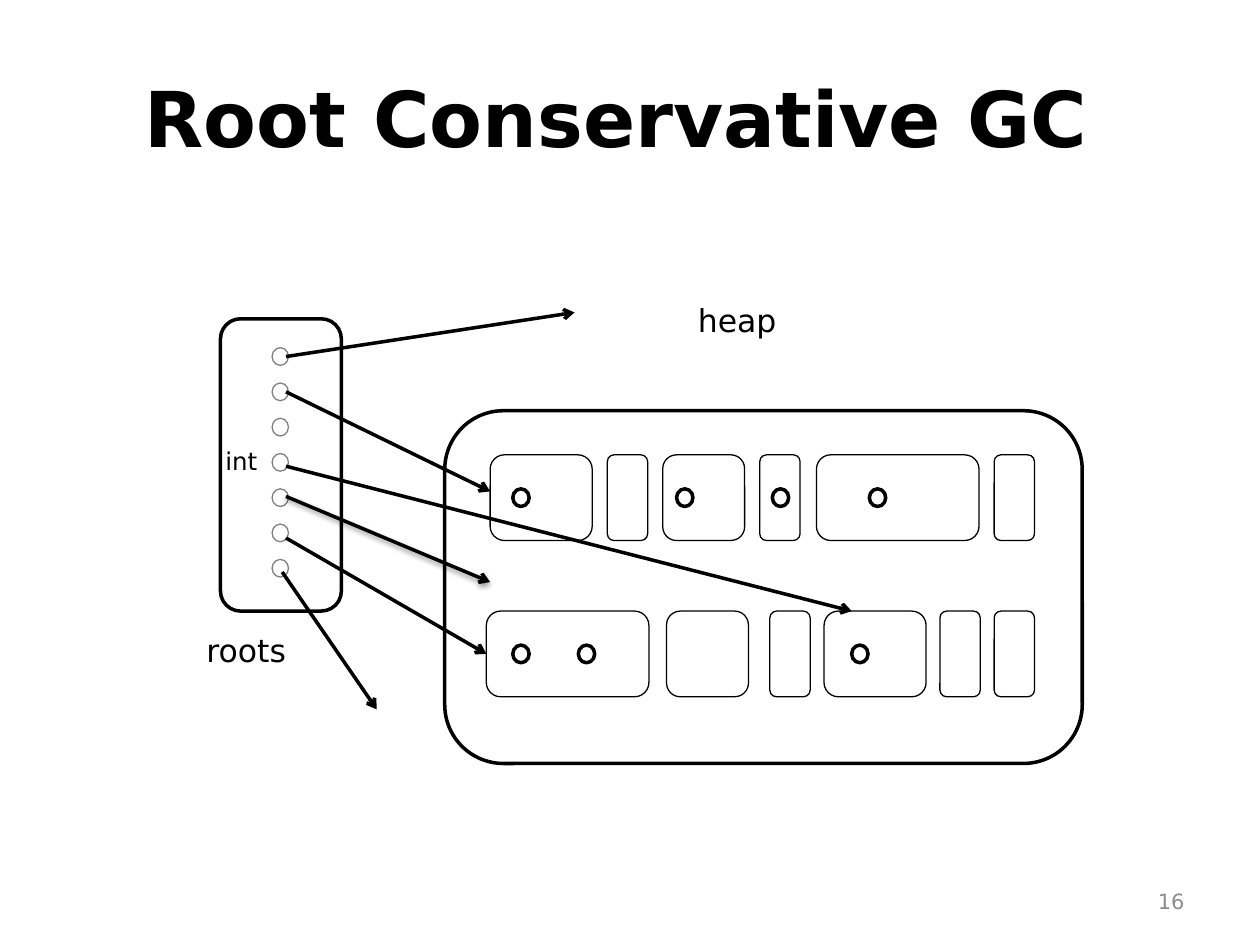
from lxml import etree
from pptx import Presentation
from pptx.dml.color import RGBColor
from pptx.enum import shapes, text
from pptx.oxml import ns
from pptx.util import Inches, Pt

BLACK = RGBColor(0, 0, 0)
WHITE = RGBColor(255, 255, 255)
GRAY = RGBColor(0x80, 0x80, 0x80)
PALE = RGBColor(0x8C, 0x8C, 0x8C)
FONT = "DejaVu Sans"
ROUND = shapes.MSO_SHAPE.ROUNDED_RECTANGLE
OVAL = shapes.MSO_SHAPE.OVAL
LEFT, CENTER, RIGHT = text.PP_ALIGN.LEFT, text.PP_ALIGN.CENTER, text.PP_ALIGN.RIGHT
TOP, MIDDLE = text.MSO_ANCHOR.TOP, text.MSO_ANCHOR.MIDDLE

TITLE = "Root Conservative GC "
HEAP = (3.53, 3.26, 5.06, 2.8)
ROOTS = (1.75, 2.53, 0.96, 2.32)
OBJECT_HEIGHT = 0.68
FIELD_DROP = 0.27
DOT = (0.13, 0.14)
ROOT_COUNT, ROOT_LEFT, ROOT_TOP, ROOT_STEP = 7, 2.16, 2.76, 0.28

# Heap rows: top, objects as (left, width), lefts of the pointer fields
HEAP_ROWS = [
    (3.61,
     [(3.89, 0.81), (4.82, 0.32), (5.26, 0.65), (6.03, 0.32), (6.48, 1.29), (7.89, 0.32)],
     [4.07, 5.37, 6.13, 6.9]),
    (4.85,
     [(3.86, 1.29), (5.29, 0.65), (6.11, 0.32), (6.54, 0.81), (7.46, 0.32), (7.89, 0.32)],
     [4.07, 4.59, 6.76]),
]

# Pointers: start, end, has a shadow
POINTERS = [
    ((2.27, 2.83), (4.56, 2.48), False),
    ((2.24, 4.54), (2.99, 5.63), False),
    ((2.27, 3.11), (3.89, 3.9), False),
    ((2.27, 3.7), (6.76, 4.85), False),
    ((2.27, 4.27), (3.86, 5.19), False),
    ((2.27, 3.94), (3.89, 4.62), True),
]

# Labels: words, place, size, colour, alignment, anchor
LABELS = [
    ("roots", (1.54, 4.96, 1.39, 0.7), 18, BLACK, LEFT, TOP),
    ("heap", (5.44, 2.34, 1.35, 0.7), 18, BLACK, LEFT, TOP),
    ("int", (1.69, 3.49, 1.18, 0.34), 14, BLACK, LEFT, TOP),
    ("16", (7.17, 6.95, 2.33, 0.4), 12, PALE, RIGHT, MIDDLE),
]


def inches(values):
    return [Inches(value) for value in values]


def add_outline(page, kind, place, color, weight):
    shape = page.shapes.add_shape(kind, *inches(place))
    shape.shadow.inherit = False
    shape.fill.solid()
    shape.fill.fore_color.rgb = WHITE
    shape.line.color.rgb = color
    shape.line.width = Pt(weight)


def add_pointer(page, start, end, shadowed):
    arrow = page.shapes.add_connector(
        shapes.MSO_CONNECTOR.STRAIGHT, *inches(start + end))
    arrow.line.color.rgb = BLACK
    arrow.line.width = Pt(2)
    etree.SubElement(arrow.line._get_or_add_ln(), ns.qn("a:tailEnd"), type="arrow")
    effects = etree.SubElement(arrow._element.spPr, ns.qn("a:effectLst"))
    if shadowed:
        shadow = etree.SubElement(
            effects, ns.qn("a:outerShdw"), blurRad=str(Pt(3.1)),
            dist=str(Pt(1.6)), dir="5400000", rotWithShape="0")
        color = etree.SubElement(shadow, ns.qn("a:srgbClr"), val=str(BLACK))
        etree.SubElement(color, ns.qn("a:alpha"), val="38000")


def write(box, words, size, color, align, anchor, bold=False):
    frame = box.text_frame
    frame.word_wrap = True
    frame.vertical_anchor = anchor
    para = frame.paragraphs[0]
    para.alignment = align
    span = para.add_run()
    span.text = words
    for name, value in {"name": FONT, "size": Pt(size), "bold": bold}.items():
        setattr(span.font, name, value)
    span.font.color.rgb = color


def main():
    deck = Presentation()
    deck.slide_width, deck.slide_height = Inches(10), Inches(7.5)
    page = deck.slides.add_slide(deck.slide_layouts[5])

    title = page.shapes.title
    title.left, title.top, title.width, title.height = inches((0.5, 0.3, 9, 1.25))
    write(title, TITLE, 44, BLACK, CENTER, MIDDLE, bold=True)

    for place in (HEAP, ROOTS):
        add_outline(page, ROUND, place, BLACK, 2)
    for top, objects, fields in HEAP_ROWS:
        for left, width in objects:
            add_outline(page, ROUND, (left, top, width, OBJECT_HEIGHT), BLACK, 0.75)
        for left in fields:
            add_outline(page, OVAL, (left, top + FIELD_DROP, *DOT), BLACK, 2)
    for index in range(ROOT_COUNT):
        top = ROOT_TOP + index * ROOT_STEP
        add_outline(page, OVAL, (ROOT_LEFT, top, *DOT), GRAY, 0.75)

    for start, end, shadowed in POINTERS:
        add_pointer(page, start, end, shadowed)
    for words, place, *style in LABELS:
        write(page.shapes.add_textbox(*inches(place)), words, *style)

    deck.save("out.pptx")


if __name__ == "__main__":
    main()
